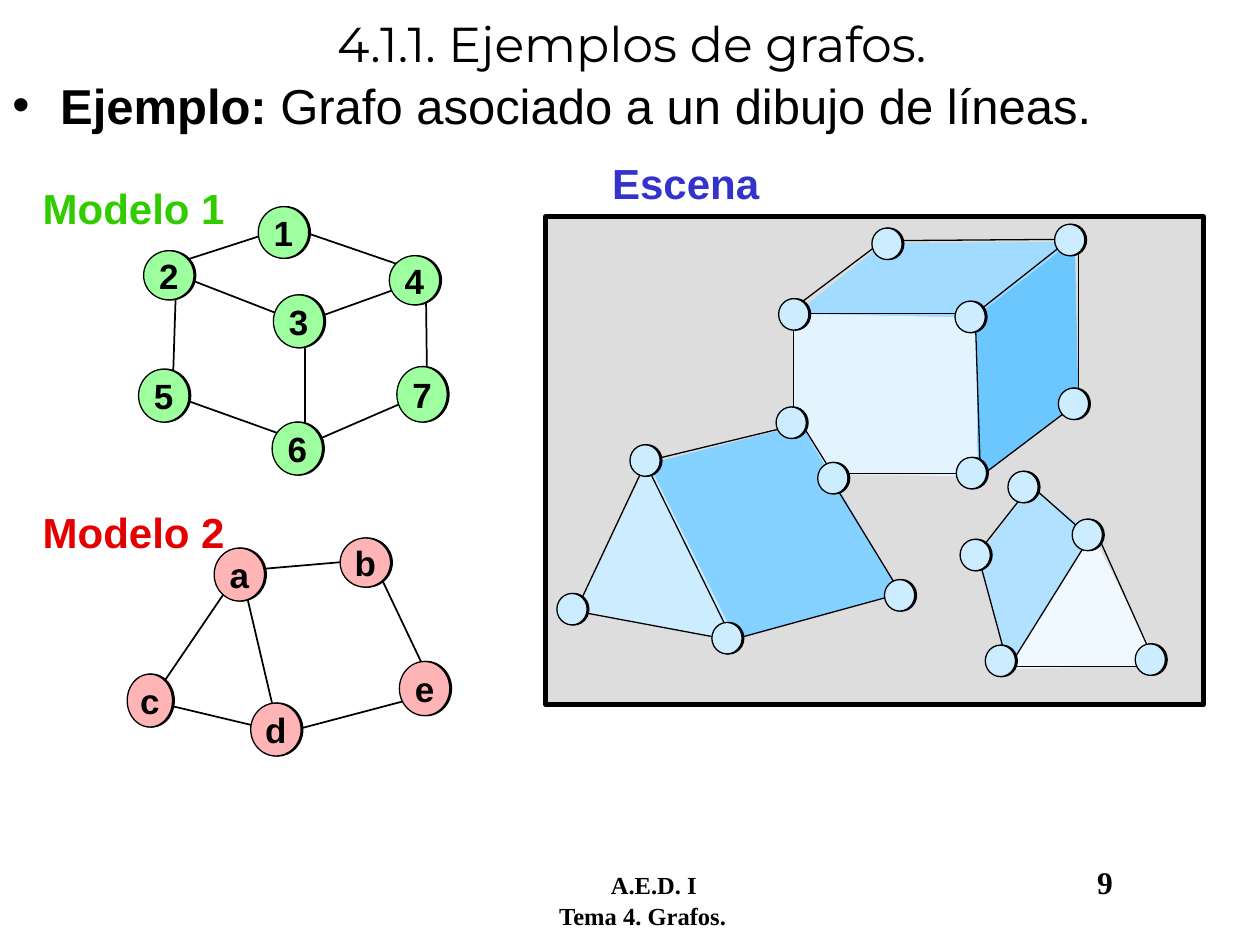
from lxml import etree
from pptx import Presentation
from pptx.dml.color import RGBColor
from pptx.enum.shapes import MSO_CONNECTOR, MSO_SHAPE
from pptx.enum.text import MSO_ANCHOR, PP_ALIGN
from pptx.oxml.ns import qn
from pptx.util import Inches, Pt

COLORS = {
    "black": "000000", "scene": "DDDDDD", "vertex": "CCECFF",
    "green_node": "9DFF9D", "red_node": "FFB5B5",
    "green": "31CC00", "red": "E40000", "blue": "3333CC",
    "cube_top": "A1DBFF", "cube_front": "E3F4FF", "cube_side": "6DC7FF",
    "prism_roof": "85D1FF", "prism_front": "CCECFF",
    "wedge_side": "B1E1FF", "wedge_front": "EFF9FF",
}

FACES = [
    ("cube_top", [(1.96, .79), (2.68, .21), (4.18, .2), (3.42, .8)]),
    ("cube_front", [(1.96, .77), (3.43, .8), (3.44, 2.06), (1.97, 2.04)]),
    ("cube_side", [(3.42, .79), (4.2, .18), (4.23, 1.47), (3.43, 2.08)]),
    ("prism_roof", [(.82, 1.96), (2.03, 1.65), (2.81, 2.99), (1.5, 3.36)]),
    ("prism_front", [(.81, 1.95), (.25, 3.13), (1.52, 3.37)]),
    ("wedge_side", [(3.44, 2.7), (3.84, 2.14), (4.35, 2.53), (3.67, 3.6)]),
    ("wedge_front", [(4.34, 2.52), (4.87, 3.56), (3.67, 3.59)]),
]
SCENE_EDGES = [
    (2.68, .19, 1.95, .74), (2.74, .19, 4.05, .18), (4.12, .21, 3.41, .77),
    (4.23, .19, 4.23, 1.43), (4.22, 1.48, 3.48, 2.04), (3.48, 2.04, 2.26, 2.04),
    (2.26, 2.01, 2.03, 1.64), (1.97, 1.58, 1.97, .77), (1.97, .77, 3.41, .77),
    (3.41, .77, 3.45, 2.01), (2, 1.65, .8, 1.94), (.8, 1.94, .24, 3.13),
    (.24, 3.13, 1.47, 3.36), (1.47, 3.36, 2.82, 2.99), (2.82, 2.99, 2.27, 2.09),
    (.8, 1.97, 1.47, 3.33), (3.65, 3.62, 4.36, 2.48), (4.36, 2.48, 4.85, 3.57),
    (3.43, 2.67, 3.83, 2.16), (3.65, 3.49, 3.43, 2.68), (4.29, 2.52, 3.86, 2.14),
    (3.62, 3.57, 4.84, 3.57),
]
VERTICES = [
    (2.59, .09), (3.29, 2.56), (3.26, 1.91), (.67, 1.81), (4.18, 2.4), (3.25, .67),
    (4.04, .06), (3.67, 2.02), (1.83, 1.51), (.09, 2.99), (4.68, 3.39), (4.07, 1.36),
    (2.16, 1.95), (1.85, .65), (1.32, 3.22), (3.49, 3.4), (2.69, 2.88),
]
MODEL1_EDGES = [
    (1.16, .77, 1.13, 1.71), (1.09, .71, 2.02, .41), (2.11, .42, 3.1, .76),
    (1.09, .75, 2.17, 1.17), (2.22, 1.14, 3.11, .82), (2.18, 1.23, 2.18, 2.15),
    (3.14, .87, 3.15, 1.68), (3.18, 1.7, 2.14, 2.15), (2.14, 2.1, 1.05, 1.71),
]
MODEL1_NODES = {
    "1": (1.81, .24, .4, .41), "4": (2.85, .63, .4, .39), "2": (.9, .59, .4, .39),
    "7": (2.91, 1.51, .4, .44), "3": (1.93, .94, .4, .42),
    "6": (1.92, 1.95, .4, .42), "5": (.86, 1.53, .4, .42),
}
MODEL2_EDGES = [
    (1.67, .56, 2.72, .47), (2.73, .5, 3.21, 1.51), (3.21, 1.53, 1.96, 1.86),
    (1.98, 1.87, 1.67, .55), (1.99, 1.84, .94, 1.59), (.96, 1.59, 1.62, .62),
]
MODEL2_NODES = {
    "b": (2.46, .3, .4, .39), "e": (2.93, 1.28, .4, .43), "a": (1.46, .38, .4, .42),
    "d": (1.75, 1.61, .4, .42), "c": (.77, 1.38, .36, .42),
}


def rgb(name):
    return RGBColor.from_string(COLORS[name])


def style_font(font, size, color="black", name="Arial", bold=True):
    font.size, font.name, font.bold = Pt(size), name, bold
    font.color.rgb = rgb(color)


def add_text(s, box, text):
    tf = s.shapes.add_textbox(*map(Inches, box)).text_frame
    tf.word_wrap = True
    tf.text = text
    return tf


def add_label(s, x, y, text, color):
    tf = add_text(s, (x, y, 1.72, 0.5), text)
    style_font(tf.paragraphs[0].runs[0].font, 24, color)


def add_box(s, kind, box, fill, weight):
    sp = s.shapes.add_shape(kind, *map(Inches, box))
    sp.shadow.inherit = False
    if fill:
        sp.fill.solid()
        sp.fill.fore_color.rgb = rgb(fill)
    else:
        sp.fill.background()
    sp.line.color.rgb = rgb("black")
    sp.line.width = Pt(weight)
    return sp


def add_node(s, box, fill):
    sp = add_box(s, MSO_SHAPE.OVAL, box, fill, 0.75)
    effects = sp._element.spPr.find(qn("a:effectLst"))
    shadow = etree.SubElement(effects, qn("a:outerShdw"), dist=str(Pt(1)), dir="0")
    etree.SubElement(shadow, qn("a:srgbClr"), val=COLORS["black"])
    return sp


def add_edges(s, x, y, edges, weight):
    for x1, y1, x2, y2 in edges:
        ends = map(Inches, (x + x1, y + y1, x + x2, y + y2))
        line = s.shapes.add_connector(MSO_CONNECTOR.STRAIGHT, *ends)
        line.line.color.rgb = rgb("black")
        line.line.width = Pt(weight)
        etree.SubElement(line._element.spPr, qn("a:effectLst"))


def add_scene(s, x, y, w, h):
    add_box(s, MSO_SHAPE.RECTANGLE, (x, y, w, h), "scene", 0.75)
    for color, corners in FACES:
        points = [(Inches(x + px), Inches(y + py)) for px, py in corners]
        builder = s.shapes.build_freeform(*points[0])
        builder.add_line_segments(points[1:], close=True)
        face = builder.convert_to_shape()
        face.shadow.inherit = False
        face.fill.solid()
        face.fill.fore_color.rgb = rgb(color)
        face.line.fill.background()
    add_edges(s, x, y, SCENE_EDGES, 0.75)
    for vx, vy in VERTICES:
        add_node(s, (x + vx, y + vy, 0.24, 0.25), "vertex")
    add_label(s, x + 0.43, y - 0.52, "Escena", "blue")
    add_box(s, MSO_SHAPE.RECTANGLE, (x, y, w, h), None, 3)


def add_model(s, x, y, title, color, fill, edges, nodes):
    add_edges(s, x, y, edges, 1)
    for name, (nx, ny, w, h) in nodes.items():
        tf = add_node(s, (x + nx, y + ny, w, h), fill).text_frame
        tf.margin_left = tf.margin_right = tf.margin_top = tf.margin_bottom = 0
        tf.vertical_anchor = MSO_ANCHOR.MIDDLE
        tf.word_wrap = False
        tf.text = name
        p = tf.paragraphs[0]
        p.alignment = PP_ALIGN.CENTER
        style_font(p.runs[0].font, 20)
    add_label(s, x, y, title, color)


def add_heading(s, box):
    tf = add_text(s, box, "4.1.1. Ejemplos de grafos.")
    tf.vertical_anchor = MSO_ANCHOR.MIDDLE
    p = tf.paragraphs[0]
    p.alignment = PP_ALIGN.CENTER
    style_font(p.runs[0].font, 28, name="Montserrat", bold=False)


def add_statement(s, box):
    p = add_text(s, box, "Ejemplo: ").paragraphs[0]
    pPr = p._p.get_or_add_pPr()
    pPr.set("marL", str(Inches(0.38)))
    pPr.set("indent", str(Inches(-0.38)))
    etree.SubElement(pPr, qn("a:buFont"), typeface="Arial")
    etree.SubElement(pPr, qn("a:buChar"), char="•")
    p.add_run().text = "Grafo asociado a un dibujo de líneas."
    for r, bold in zip(p.runs, (True, False)):
        style_font(r.font, 28, bold=bold)


def add_footer(s, box):
    tf = add_text(s, box, "\tA.E.D. I\t\n\tTema 4. Grafos.")
    for p, stops in zip(tf.paragraphs, ((1.13, 4.99), (0.72,))):
        tabs = etree.SubElement(p._p.get_or_add_pPr(), qn("a:tabLst"))
        for stop in stops:
            etree.SubElement(tabs, qn("a:tab"), pos=str(Inches(stop)), algn="l")
        style_font(p.runs[0].font, 14, name="Times New Roman")
    r = tf.paragraphs[0].add_run()
    r.text = "9"
    style_font(r.font, 18, name="Times New Roman")


def main():
    prs = Presentation()
    prs.slide_width, prs.slide_height = Inches(10), Inches(7.5)
    s = prs.slides.add_slide(prs.slide_layouts[6])
    add_footer(s, (3.62, 6.8, 5.8, 0.5))
    add_heading(s, (0.35, 0, 9.33, 0.68))
    add_statement(s, (0, 0.55, 9.6, 0.54))
    add_scene(s, 4.33, 1.72, 5.22, 3.87)
    add_model(s, 0.24, 1.4, "Modelo 1", "green", "green_node", MODEL1_EDGES, MODEL1_NODES)
    add_model(s, 0.24, 3.97, "Modelo 2", "red", "red_node", MODEL2_EDGES, MODEL2_NODES)
    prs.save("out.pptx")


if __name__ == "__main__":
    main()
